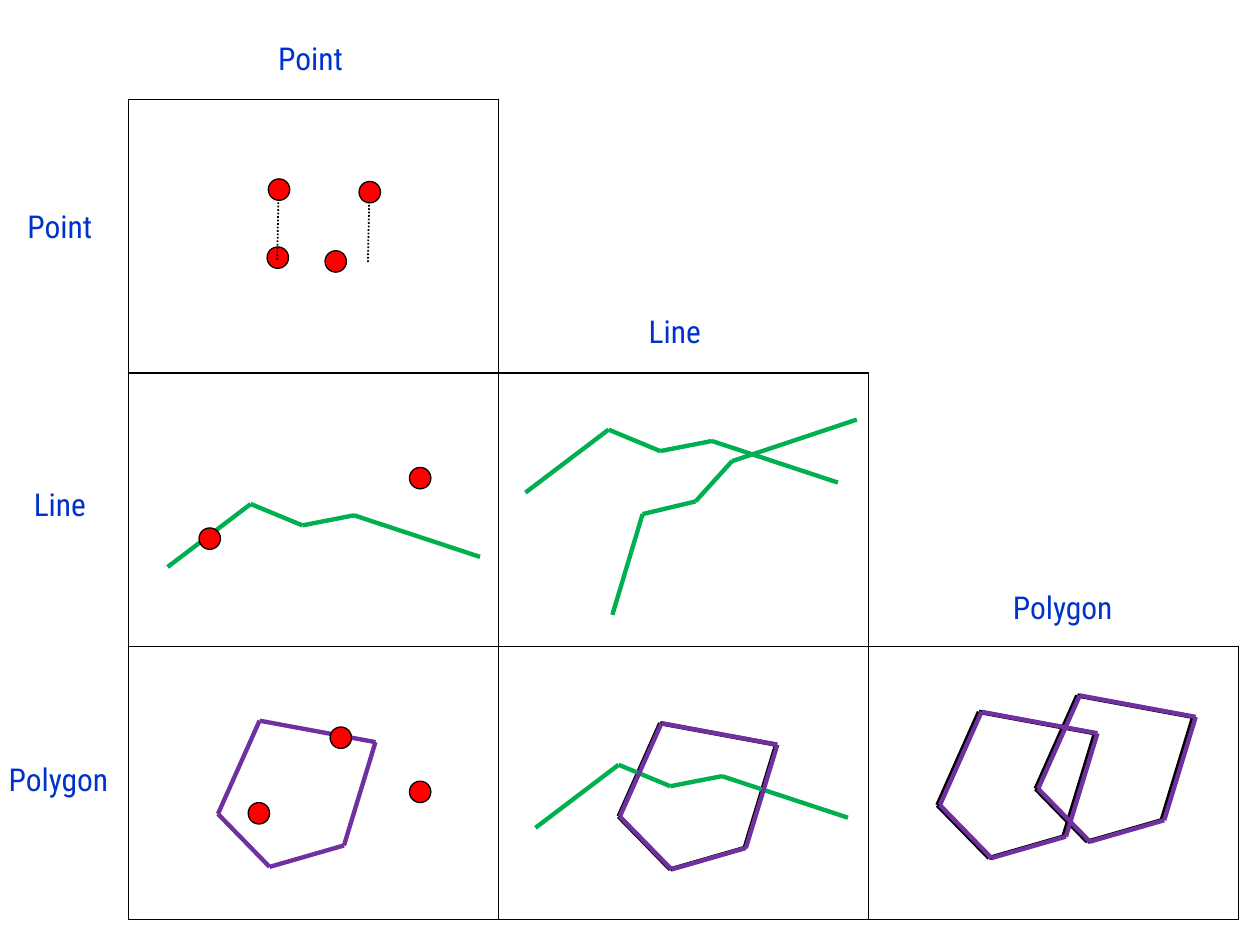
from itertools import pairwise

from lxml import etree
from pptx import Presentation
from pptx.dml.color import RGBColor
from pptx.enum import dml, shapes, text
from pptx.oxml import ns
from pptx.util import Inches, Pt

BLACK = RGBColor(0x00, 0x00, 0x00)
BLUE = RGBColor(0x00, 0x33, 0xCC)
RED = RGBColor(0xFF, 0x00, 0x00)
GREEN = RGBColor(0x00, 0xB0, 0x50)
PURPLE = RGBColor(0x70, 0x30, 0xA0)

# Vertices relative to the leftmost point of each outline.
PENTAGON = [(0, 0), (0.33, -0.74), (1.25, -0.57), (1, 0.25), (0.41, 0.42), (0, 0)]
ZIGZAG = [(0, 0), (0.66, -0.5), (1.07, -0.33), (1.48, -0.41), (2.48, -0.08)]
RISING = [(0, 0), (0.24, -0.8), (0.66, -0.9), (0.95, -1.22), (1.94, -1.55)]

LABEL_WIDTHS = {"Point": 0.73, "Line": 0.63, "Polygon": 1.03}
EDGES = {"left": "a:lnL", "right": "a:lnR", "top": "a:lnT", "bottom": "a:lnB"}


class Diagram:
    """Holds the style and the page of the overlay matrix."""

    font_format = {"name": "Roboto Condensed", "size": Pt(18)}
    frame_format = {"word_wrap": False, "auto_size": text.MSO_AUTO_SIZE.SHAPE_TO_FIT_TEXT}

    def __init__(self, page):
        """Keep the page to draw on."""
        self.page = page

    def border(self, cell, drawn):
        """Draw the named edges of a cell and hide the others."""
        properties = cell._tc.get_or_add_tcPr()
        for position, (edge, tag) in enumerate(EDGES.items()):
            line = etree.Element(ns.qn(tag), w=str(Pt(1)))
            if edge in drawn:
                fill = etree.SubElement(line, ns.qn("a:solidFill"))
                etree.SubElement(fill, ns.qn("a:srgbClr"), val=str(BLACK))
            else:
                etree.SubElement(line, ns.qn("a:noFill"))
            properties.insert(position, line)

    def matrix(self, left, top, width, height, size=3):
        """Add a square table whose lower left triangle is framed."""
        table = self.page.shapes.add_table(
            size, size, Inches(left), Inches(top), Inches(width), Inches(height)).table
        table.first_row = table.horz_banding = False
        table.cell(0, 1).merge(table.cell(0, size - 1))
        for row in range(size):
            for column in range(size):
                cell = table.cell(row, column)
                cell.fill.background()
                if column <= row:
                    drawn = set(EDGES)
                elif column == row + 1:
                    drawn = {"left", "bottom"}
                else:
                    drawn = {"bottom"}
                self.border(cell, drawn)

    def label(self, words, left, top):
        """Add a row or column heading."""
        box = self.page.shapes.add_textbox(
            Inches(left), Inches(top), Inches(LABEL_WIDTHS[words]), Inches(0.4))
        for name, value in self.frame_format.items():
            setattr(box.text_frame, name, value)
        span = box.text_frame.paragraphs[0].add_run()
        span.text = words
        for name, value in self.font_format.items():
            setattr(span.font, name, value)
        span.font.color.rgb = BLUE

    def dot(self, left, top):
        """Add a red point feature."""
        dot = self.page.shapes.add_shape(
            shapes.MSO_SHAPE.OVAL, Inches(left), Inches(top), Inches(0.17), Inches(0.17))
        dot.shadow.inherit = False
        dot.fill.solid()
        dot.fill.fore_color.rgb = RED
        dot.line.color.rgb = BLACK
        dot.line.width = Pt(0.75)

    def segment(self, start, end, color, width, dash=None, parent=None):
        """Add one straight line to the page or to a group."""
        line = (parent or self.page).shapes.add_connector(
            shapes.MSO_CONNECTOR.STRAIGHT, *(Inches(value) for value in (*start, *end)))
        line.line.color.rgb = color
        line.line.width = Pt(width)
        if dash:
            line.line.dash_style = dash
        etree.SubElement(line._element.spPr, ns.qn("a:effectLst"))

    def outline(self, vertices, left, top, color):
        """Add a group of segments that join the vertices."""
        group = self.page.shapes.add_group_shape()
        places = [(left + x, top + y) for x, y in vertices]
        for start, end in pairwise(places):
            self.segment(start, end, color, 2.5, parent=group)


def build():
    """Build the matrix of point, line and polygon overlays."""
    deck = Presentation()
    deck.slide_width, deck.slide_height = Inches(10), Inches(7.5)
    diagram = Diagram(deck.slides.add_slide(deck.slide_layouts[6]))

    diagram.matrix(1.02, 0.79, 8.81, 6.51)
    for words, left, top in [
        ("Point", 0.12, 1.59), ("Line", 0.17, 3.8), ("Polygon", -0.03, 5.98),
        ("Point", 2.11, 0.26), ("Line", 5.05, 2.43), ("Polygon", 7.94, 4.62),
    ]:
        diagram.label(words, left, top)

    for vertices, left, top, color in [
        (PENTAGON, 1.73, 6.46, PURPLE),
        (ZIGZAG, 1.33, 4.5, GREEN),
        (PENTAGON, 4.91, 6.48, BLACK),
        (ZIGZAG, 4.25, 6.57, GREEN),
        (PENTAGON, 7.44, 6.39, BLACK),
        (PENTAGON, 8.22, 6.26, BLACK),
        (ZIGZAG, 4.17, 3.91, GREEN),
        (RISING, 4.86, 4.88, GREEN),
        (PENTAGON, 4.92, 6.48, PURPLE),
        (PENTAGON, 7.46, 6.39, PURPLE),
        (PENTAGON, 8.24, 6.26, PURPLE),
    ]:
        diagram.outline(vertices, left, top, color)

    for left, top in [
        (2.12, 1.96), (2.13, 1.42), (2.58, 1.99), (2.85, 1.44), (1.58, 4.19),
        (3.25, 3.71), (1.97, 6.37), (2.62, 5.77), (3.25, 6.2),
    ]:
        diagram.dot(left, top)
    for start, end in [((2.2, 2.06), (2.21, 1.58)), ((2.92, 2.08), (2.93, 1.61))]:
        diagram.segment(start, end, BLACK, 1, dash=dml.MSO_LINE.ROUND_DOT)

    deck.save("out.pptx")


build()
